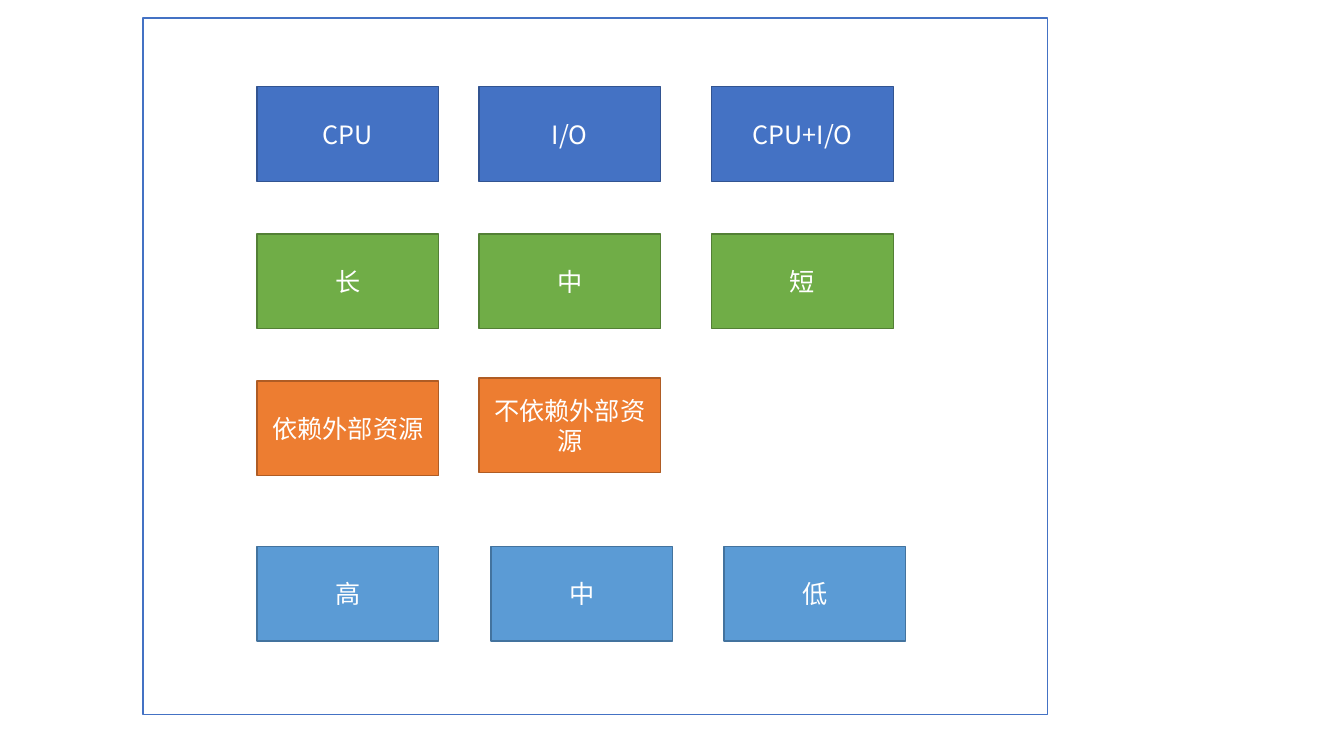
from lxml.etree import SubElement
from pptx import Presentation
from pptx.dml.color import RGBColor
from pptx.enum.shapes import MSO_SHAPE
from pptx.enum.text import MSO_ANCHOR, PP_ALIGN
from pptx.oxml.ns import qn
from pptx.util import Inches, Pt

FONT = "Noto Sans CJK SC"
FRAME = (1.42, 0.18, 8.97, 6.91)
BOX_W, BOX_H = 1.8, 0.94

# Left edges of the columns, measured from the frame
COLUMNS = (1.13, 3.33, 5.64)
WIDE_COLUMNS = (1.13, 3.45, 5.76)
ROW_TOP, ROW_STEP = 0.68, 1.46

# Labels, fill, line, column edges, row top, rise of each later box
ROWS = [
    (("CPU", "I/O", "CPU+I/O"), "4472C4", "325491", COLUMNS, ROW_TOP, 0),
    (("长", "中", "短"), "70AD47", "538035", COLUMNS, ROW_TOP + ROW_STEP, 0),
    (("依赖外部资源", "不依赖外部资源"), "ED7D31", "AF5C24", COLUMNS,
     ROW_TOP + 2 * ROW_STEP, 0.03),
    (("高", "中", "低"), "5B9BD5", "43739E", WIDE_COLUMNS, 5.24, 0),
]


def color(value):
    return RGBColor.from_string(value)


def add_box(s, box, fill, line):
    sp = s.shapes.add_shape(MSO_SHAPE.RECTANGLE, *map(Inches, box))
    sp.shadow.inherit = False
    sp.fill.solid()
    sp.fill.fore_color.rgb = color(fill)
    sp.line.color.rgb = color(line)
    sp.line.width = Pt(1)
    return sp


def add_label(sp, text):
    tf = sp.text_frame
    tf.word_wrap = True
    tf.vertical_anchor = MSO_ANCHOR.MIDDLE
    p = tf.paragraphs[0]
    p.text = text
    p.alignment = PP_ALIGN.CENTER
    p.font.size = Pt(18)
    p.font.color.rgb = color("FFFFFF")
    p.font.name = FONT
    # Chinese text takes its own typeface setting
    r = p.runs[0]
    r.font.name = FONT
    SubElement(r.font._element, qn("a:ea"), typeface=FONT)


def add_row(s, frame, labels, fill, line, columns, top, rise):
    for i, (label, left) in enumerate(zip(labels, columns)):
        box = (frame[0] + left, frame[1] + top - i * rise, BOX_W, BOX_H)
        add_label(add_box(s, box, fill, line), label)


def add_task_kinds(s, frame):
    add_box(s, frame, "FFFFFF", "4472C4")
    for row in ROWS:
        add_row(s, frame, *row)


def main():
    prs = Presentation()
    prs.slide_width, prs.slide_height = Inches(13.33), Inches(7.5)
    s = prs.slides.add_slide(prs.slide_layouts[6])
    add_task_kinds(s, FRAME)
    prs.save("out.pptx")


if __name__ == "__main__":
    main()
